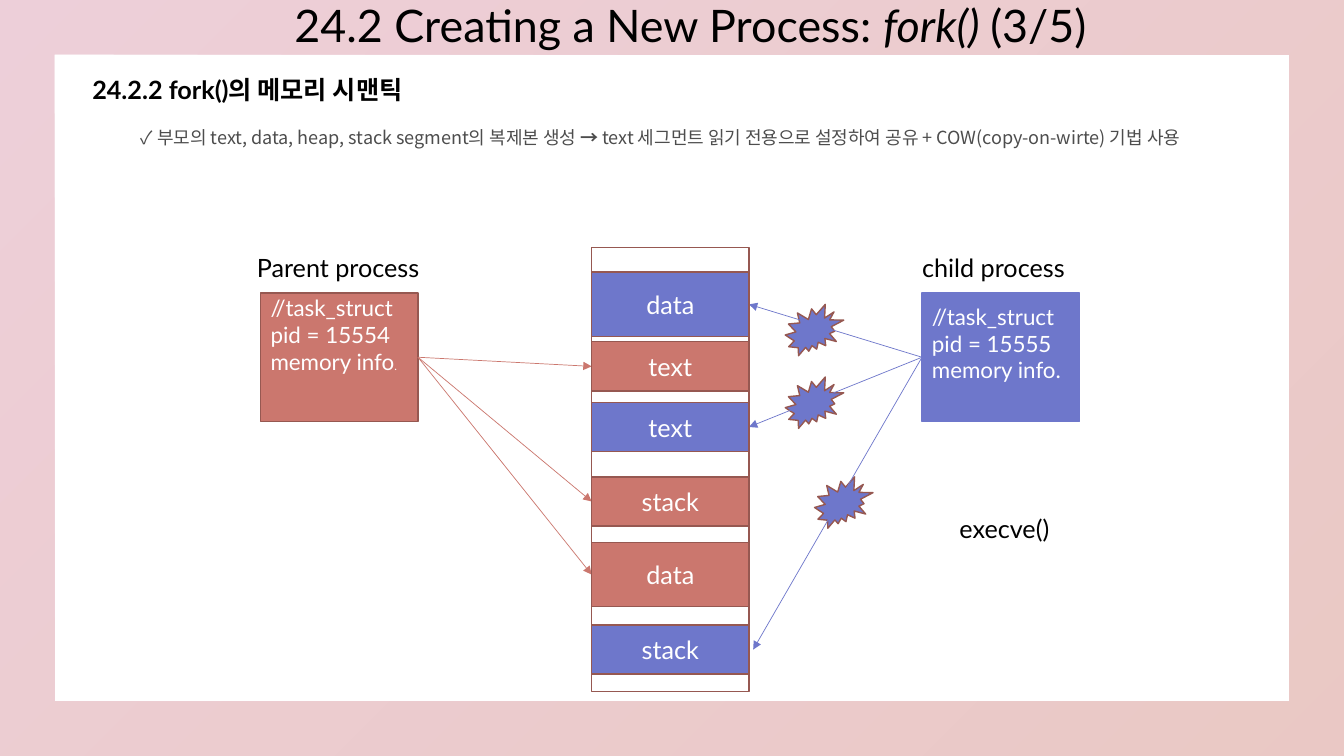
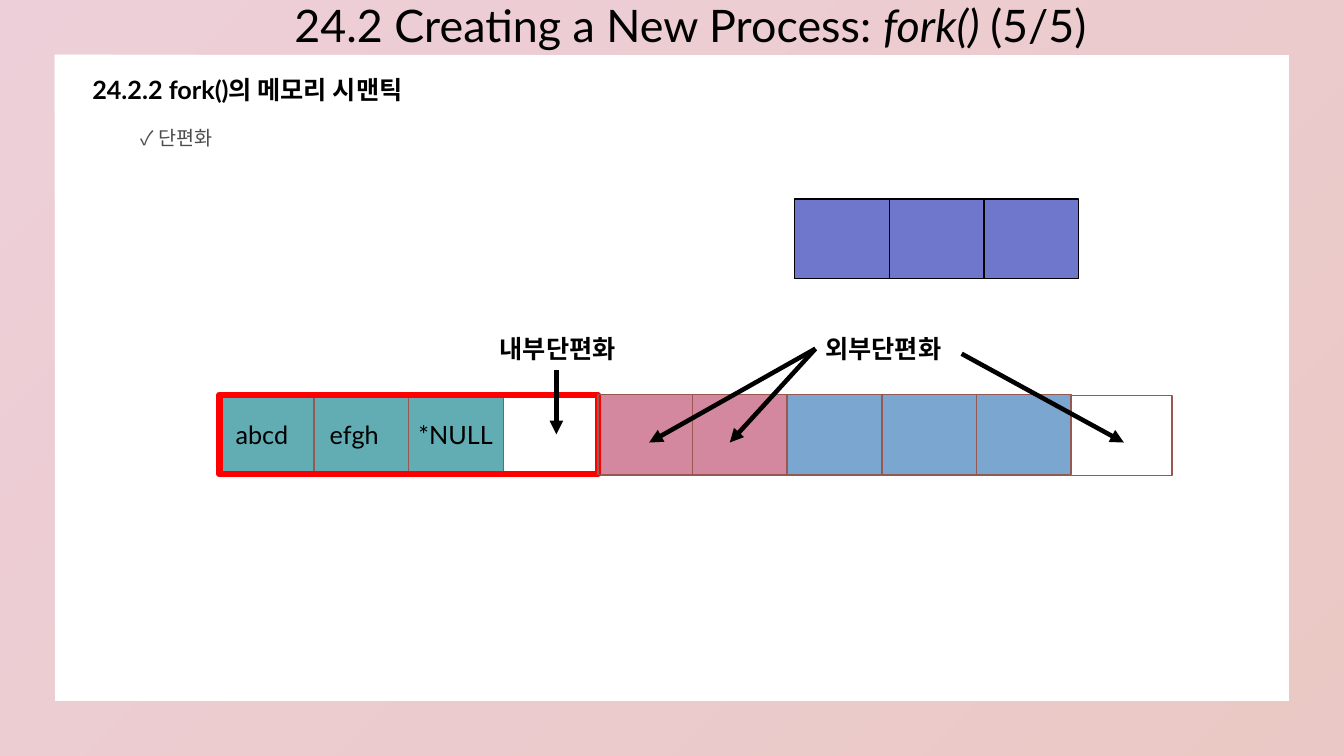
from lxml import etree
from pptx import Presentation
from pptx.dml.color import RGBColor
from pptx.enum.shapes import MSO_CONNECTOR as CONNECTOR, MSO_SHAPE as SHAPE
from pptx.enum.text import MSO_ANCHOR as ANCHOR, MSO_AUTO_SIZE as AUTO, PP_ALIGN as ALIGN
from pptx.oxml.ns import qn
from pptx.util import Pt

COLORS = {
    "black": "000000", "white": "FFFFFF", "grey": "4D4D4D", "brown": "965851",
    "coral": "CB776E", "violet": "6E77CB", "teal": "61ADB3", "pink": "D488A0",
    "sky": "7BA6CF", "red": "FF0000",
}
LATO, NOTO = "Lato", "Noto Sans CJK KR"
SLIDE_W, SLIDE_H = 960, 540

BODY = {"size": 18, "name": LATO, "color": "black"}
BOLD = BODY | {"bold": True}
TITLE = BODY | {"size": 32}
BULLET = {"size": 14, "name": NOTO, "color": "grey"}
ON_FILL = BODY | {"color": "white"}
TASK = ON_FILL | {"size": 16}

COLUMN_X, COLUMN_Y, COLUMN_W, COLUMN_H = 422.6, 177, 112.4, 316.8
BLOCK_H = {"data": 46, "text": 35.2, "stack": 35.2}
# name, colour, top, gap between block and arrow tip
BLOCKS = [
    ("data", "coral", 387.4, 0), ("stack", "coral", 340.6, 0), ("text", "coral", 244.1, 0),
    ("text", "violet", 287.4, 0), ("data", "violet", 194.4, 0), ("stack", "violet", 446.4, 3),
]
PROCESS_W, PROCESS_H, PROCESS_Y = 112.4, 91.8, 209.3
PARENT_X, CHILD_X = 186.2, 658.6

CELL_W, CELL_H = 67.6, 56.9
MEMORY_X, MEMORY_Y = 156.7, 281.9


def rgb(name):
    return RGBColor.from_string(COLORS[name])


def set_all(obj, values):
    for key, value in values.items():
        setattr(obj, key, value)


def add_run(p, text, fmt):
    r = p.add_run()
    r.text = text
    values = dict(fmt)
    r.font.color.rgb = rgb(values.pop("color"))
    values["size"] = Pt(values["size"])
    set_all(r.font, values)
    ea = etree.SubElement(r.font._element, qn("a:ea"))
    ea.set("typeface", NOTO)


def write(tf, lines, fmt, align=ALIGN.LEFT, **frame):
    """Fill a text frame; each line is a list of (text, format changes) runs."""
    set_all(tf, {"word_wrap": True, "auto_size": AUTO.NONE} | frame)
    for i, line in enumerate(lines):
        p = tf.paragraphs[0] if i == 0 else tf.add_paragraph()
        p.alignment = align
        for text, changes in line:
            add_run(p, text, fmt | changes)


def add_label(slide, text, x, y, w, h=28.8, fmt=BODY, align=ALIGN.LEFT):
    sp = slide.shapes.add_textbox(Pt(x), Pt(y), Pt(w), Pt(h))
    write(sp.text_frame, [[(text, {})]], fmt, align)


def add_box(slide, x, y, w, h, fill=None, line="brown", width=1, kind=SHAPE.RECTANGLE):
    sp = slide.shapes.add_shape(kind, Pt(x), Pt(y), Pt(w), Pt(h))
    sp.shadow.inherit = False
    if fill:
        sp.fill.solid()
        sp.fill.fore_color.rgb = rgb(fill)
    else:
        sp.fill.background()
    sp.line.color.rgb = rgb(line)
    sp.line.width = Pt(width)
    return sp


def add_arrow(slide, start, end, color="black", width=3.25):
    cn = slide.shapes.add_connector(CONNECTOR.STRAIGHT, *map(Pt, start + end))
    cn.line.color.rgb = rgb(color)
    cn.line.width = Pt(width)
    etree.SubElement(cn.line._ln, qn("a:tailEnd")).set("type", "triangle")
    etree.SubElement(cn._element.spPr, qn("a:effectLst"))


def add_frame(layout, slide):
    """Draw the gradient border and hand it to the layout, behind everything."""
    sp = slide.shapes.add_shape(SHAPE.FRAME, 0, 0, Pt(SLIDE_W), Pt(SLIDE_H))
    sp.shadow.inherit = False
    sp.adjustments[0] = 0.072
    sp.line.fill.background()
    sp.fill.gradient()
    sp.fill.gradient_angle = 315
    for stop, color, position in zip(sp.fill.gradient_stops, ("pink", "coral"), (0, 1)):
        stop.color.rgb = rgb(color)
        stop.position = position
    for clr in sp._element.spPr.iter(qn("a:srgbClr")):
        etree.SubElement(clr, qn("a:alpha")).set("val", "40000")
    sp._element.nvSpPr.cNvPr.set("id", "99")
    layout.shapes.element.insert(2, sp._element)


def add_page(prs, layout, number, bullet, bullet_size):
    slide = prs.slides.add_slide(layout)
    title = slide.shapes.title
    set_all(title, {"left": Pt(163.4), "top": Pt(-5), "width": Pt(659.6), "height": Pt(46)})
    write(title.text_frame, [[("24.2 Creating a New Process: ", {}), ("fork() ", {"italic": True}),
                              (f"({number}/5)", {})]],
          TITLE, ALIGN.CENTER, vertical_anchor=ANCHOR.TOP)
    add_label(slide, "24.2.2 fork()의 메모리 시맨틱", 18.7, 49.7, 316, fmt=BOLD, align=ALIGN.CENTER)
    sp = slide.shapes.add_textbox(Pt(75.6), Pt(85), Pt(875.5), Pt(31))
    write(sp.text_frame, [bullet], BULLET | {"size": bullet_size})
    p = sp.text_frame.paragraphs[0]
    set_all(p, {"line_spacing": 1.1, "space_before": Pt(10)})
    p._p.get_or_add_pPr().set("marL", str(Pt(18)))
    return slide


def add_process(slide, x, color, line, lines, top_inset):
    sp = add_box(slide, x, PROCESS_Y, PROCESS_W, PROCESS_H, color, line)
    write(sp.text_frame, lines, TASK, vertical_anchor=ANCHOR.TOP, margin_top=Pt(top_inset))


def add_block(slide, name, color, top):
    sp = add_box(slide, COLUMN_X, top, COLUMN_W, BLOCK_H[name], color)
    write(sp.text_frame, [[(name, {})]], ON_FILL, ALIGN.CENTER, vertical_anchor=ANCHOR.MIDDLE)


def draw_shared_memory(slide):
    for x, y in ((560.9, 217.4), (560.9, 269.3), (581.8, 340.6)):
        add_box(slide, x, y, 41.8, 36.7, "violet", kind=SHAPE.EXPLOSION2)
    add_label(slide, "execve()", 678.2, 362.9, 95)
    add_box(slide, COLUMN_X, COLUMN_Y, COLUMN_W, COLUMN_H)

    add_process(slide, PARENT_X, "coral", "brown",
                [[("//task_struct", {})], [("pid = 15554", {})],
                 [("memory info", {}), (".", {"size": 8})]], 1)
    add_process(slide, CHILD_X, "violet", "violet",
                [[("//task_struct", {})], [("pid = 15555", {})], [("memory info.", {})]], 7)

    starts = {"coral": PARENT_X + PROCESS_W, "violet": CHILD_X}
    tips = {"coral": COLUMN_X, "violet": COLUMN_X + COLUMN_W}
    for name, color, top, gap in BLOCKS:
        tip = (tips[color] + gap, top + BLOCK_H[name] / 2)
        add_arrow(slide, (starts[color], PROCESS_Y + PROCESS_H / 2), tip, color, 0.5)
    for name, color, top, _ in BLOCKS:
        add_block(slide, name, color, top)

    add_label(slide, "Parent process", 176.4, 177, 148.3)
    add_label(slide, "child process", 651.6, 177, 148.3)


def draw_fragmentation(slide):
    add_box(slide, MEMORY_X, MEMORY_Y + 0.7, 680.4, CELL_H)
    colors = ["teal"] * 3 + [None] + ["pink"] * 2 + ["sky"] * 3
    texts = {0: ("abcd", 11.6), 1: ("efgh", 11.2), 2: ("*NULL", 7)}
    for i, color in enumerate(colors):
        if not color:
            continue
        sp = add_box(slide, MEMORY_X + i * CELL_W, MEMORY_Y, CELL_W, CELL_H, color)
        if i in texts:
            text, inset = texts[i]
            write(sp.text_frame, [[(text, {})]], BODY, vertical_anchor=ANCHOR.MIDDLE,
                  margin_left=Pt(inset), margin_right=0)
    add_box(slide, MEMORY_X, MEMORY_Y, 4 * CELL_W, CELL_H, line="red", width=4.5)
    add_box(slide, MEMORY_X + 4 * CELL_W, MEMORY_Y, CELL_W, CELL_H)

    for i in range(3):
        add_box(slide, 567.6 + i * CELL_W, 142.2, CELL_W, CELL_H, "violet", "black")

    add_label(slide, "내부단편화", 349.9, 234.7, 110.2, fmt=BOLD)
    add_label(slide, "외부단편화", 582.5, 234.7, 110.2, fmt=BOLD)
    for start, end in (
        ((397.4, 264.2), (397.4, 310.3)),
        ((582.5, 249.1), (463.7, 316.1)),
        ((582.5, 249.1), (521.3, 316.1)),
        ((686.9, 252.7), (802.8, 316.1)),
    ):
        add_arrow(slide, start, end)


def main():
    prs = Presentation()
    set_all(prs, {"slide_width": Pt(SLIDE_W), "slide_height": Pt(SLIDE_H)})
    layout = prs.slide_layouts.get_by_name("Title Only")

    slide = add_page(prs, layout, 3, [
        ("✓ 부모의 text, data, heap, stack segment의 복제본 생성 ", {}),
        ("→ ", {"bold": True}),
        ("text 세그먼트 읽기 전용으로 설정하여 공유 + COW(copy-on-wirte) 기법 사용", {}),
    ], 12.9)
    add_frame(layout, slide)
    draw_shared_memory(slide)

    draw_fragmentation(add_page(prs, layout, 5, [("✓ 단편화", {})], 14))
    prs.save("out.pptx")


if __name__ == "__main__":
    main()
